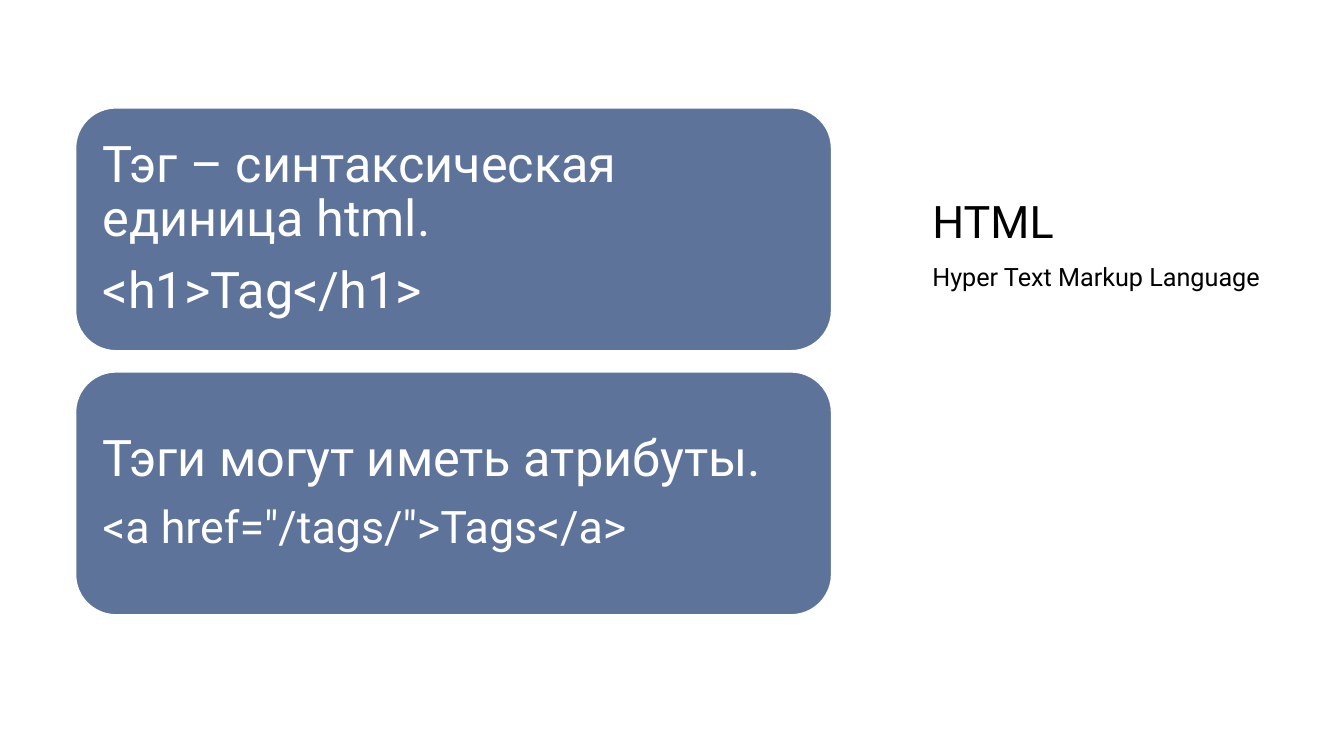
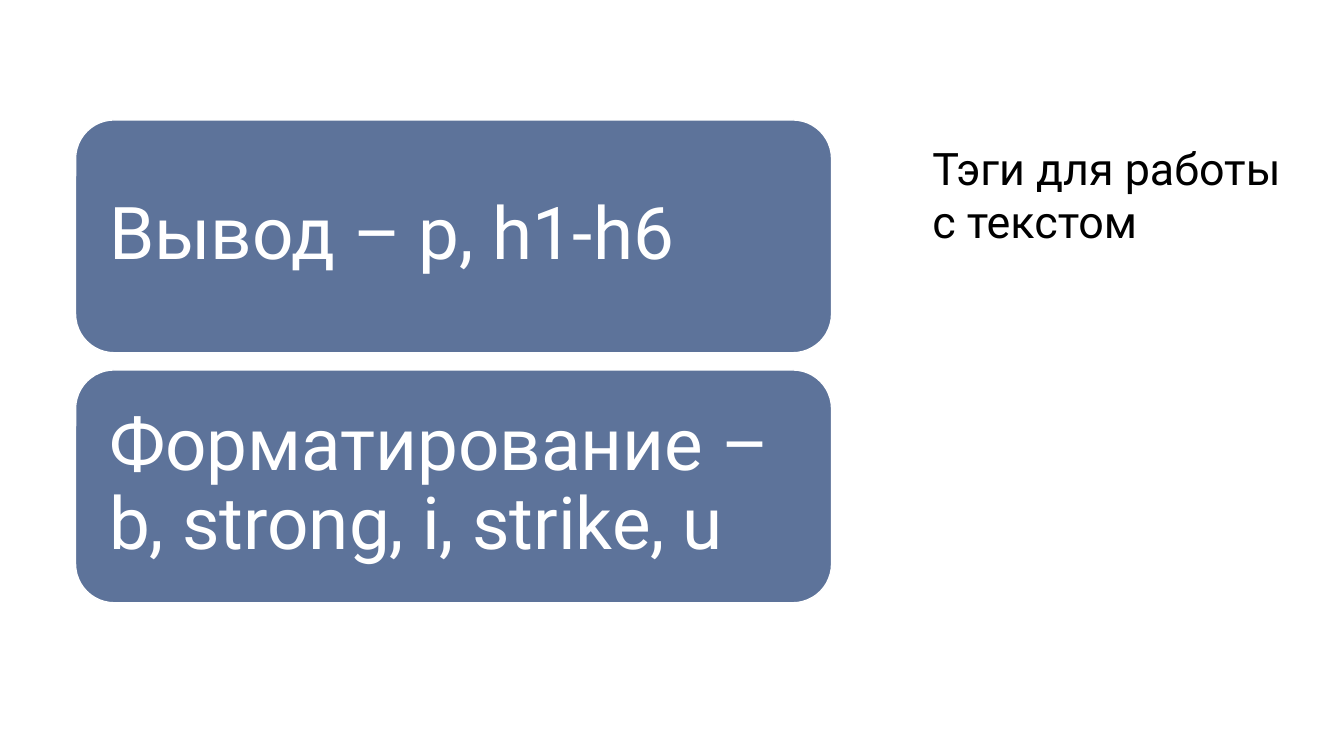
from pptx import Presentation
from pptx.dml.color import RGBColor
from pptx.enum.shapes import MSO_SHAPE
from pptx.enum.text import MSO_ANCHOR, PP_ALIGN
from pptx.util import Pt

FONT = "Roboto"
BLUE = "5D739A"
WHITE = "FFFFFF"
BLACK = "000000"

CARD_LEFT, CARD_WIDTH = 54, 540
STACK_MIDDLE = 258.1
SIDE_LEFT, SIDE_WIDTH = 666, 249.1


def color(hex_code):
    return RGBColor.from_string(hex_code)


def write(frame, lines, hex_code, margin=0, anchor=MSO_ANCHOR.TOP,
          spacing=1.0, before=0, after=0):
    frame.word_wrap = True
    frame.vertical_anchor = anchor
    frame.margin_left = frame.margin_right = Pt(margin)
    frame.margin_top = frame.margin_bottom = Pt(margin)
    frame.text = "\n".join(text for text, size in lines)
    for paragraph, (text, size) in zip(frame.paragraphs, lines):
        paragraph.alignment = PP_ALIGN.LEFT
        paragraph.line_spacing = spacing
        paragraph.space_before = Pt(before)
        paragraph.space_after = Pt(after)
        for run in paragraph.runs:
            run.font.name = FONT
            run.font.size = Pt(size)
            run.font.color.rgb = color(hex_code)


def add_side_text(slide, top, height, text, size, **style):
    box = slide.shapes.add_textbox(
        Pt(SIDE_LEFT), Pt(top), Pt(SIDE_WIDTH), Pt(height))
    write(box.text_frame, [(text, size)], BLACK, **style)


def add_title(slide, title):
    add_side_text(slide, 47.5, 129.6, title, 32, anchor=MSO_ANCHOR.BOTTOM)


def add_subtitle(slide, subtitle):
    add_side_text(slide, 184.3, 283.7, subtitle, 18, spacing=1.1, before=8)


def add_card(slide, top, height, lines, margin, after):
    card = slide.shapes.add_shape(
        MSO_SHAPE.ROUNDED_RECTANGLE,
        Pt(CARD_LEFT), Pt(top), Pt(CARD_WIDTH), Pt(height))
    card.shadow.inherit = False
    card.fill.solid()
    card.fill.fore_color.rgb = color(BLUE)
    card.line.color.rgb = color(WHITE)
    card.line.width = Pt(1)
    write(card.text_frame, lines, WHITE, margin=margin,
          anchor=MSO_ANCHOR.MIDDLE, spacing=0.9, after=after)


def add_card_stack(slide, cards, height, gap, margin, after=0):
    pitch = height + gap
    first_top = STACK_MIDDLE - (len(cards) * pitch - gap) / 2
    for index, lines in enumerate(cards):
        add_card(slide, first_top + index * pitch, height, lines, margin, after)


def add_slide(deck, title):
    slide = deck.slides.add_slide(deck.slide_layouts[6])
    add_title(slide, title)
    return slide


def main():
    deck = Presentation()
    deck.slide_width, deck.slide_height = Pt(960), Pt(540)

    html = add_slide(deck, "HTML")
    add_card_stack(html, [
        [("Тэг – синтаксическая единица html.", 36), ("<h1>Tag</h1>", 36)],
        [("Тэги могут иметь атрибуты.", 36), ('<a href="/tags/">Tags</a>', 32)],
    ], height=173.5, gap=15.1, margin=10.8, after=12.6)
    add_subtitle(html, "Hyper Text Markup Language")

    text_tags = add_slide(deck, "Тэги для работы с текстом")
    add_card_stack(text_tags, [
        [("Вывод – p, h1-h6", 52)],
        [("Форматирование – b, strong, i, strike, u", 52)],
    ], height=166.3, gap=12.3, margin=15.8)

    deck.save("out.pptx")


main()
